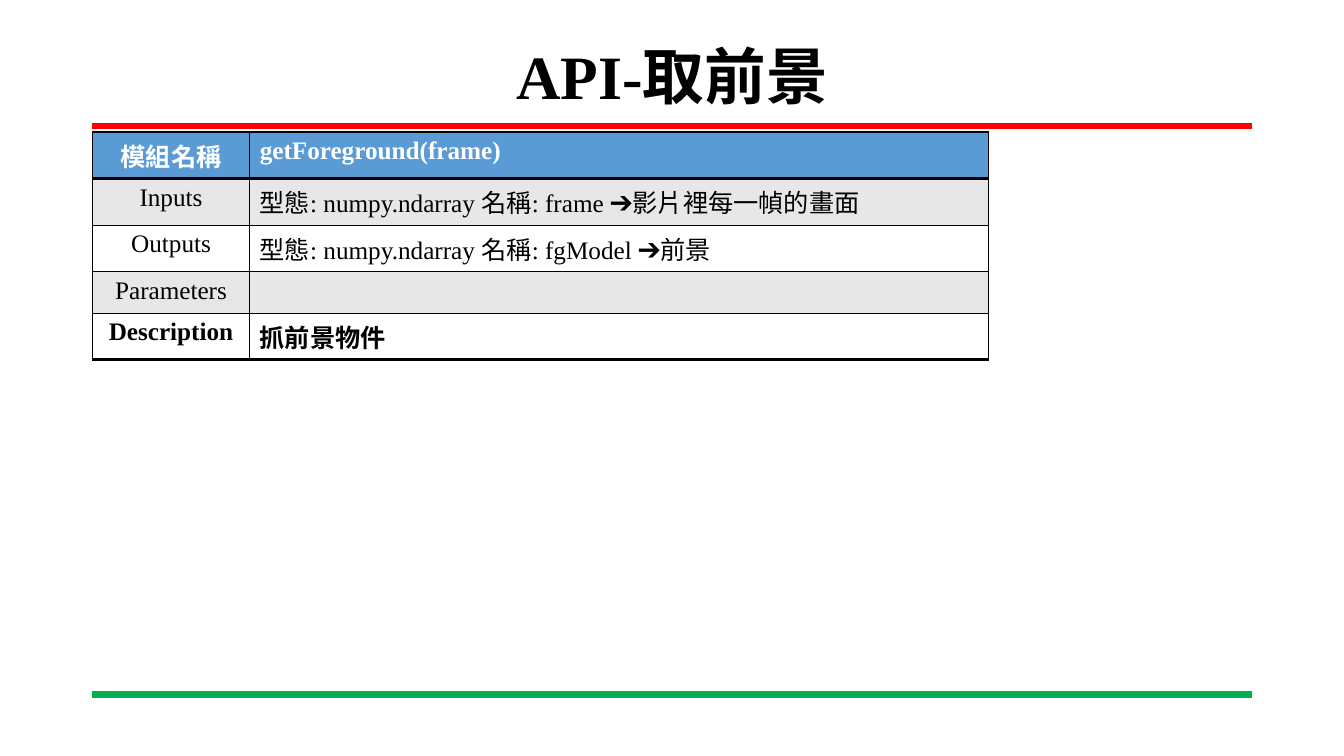
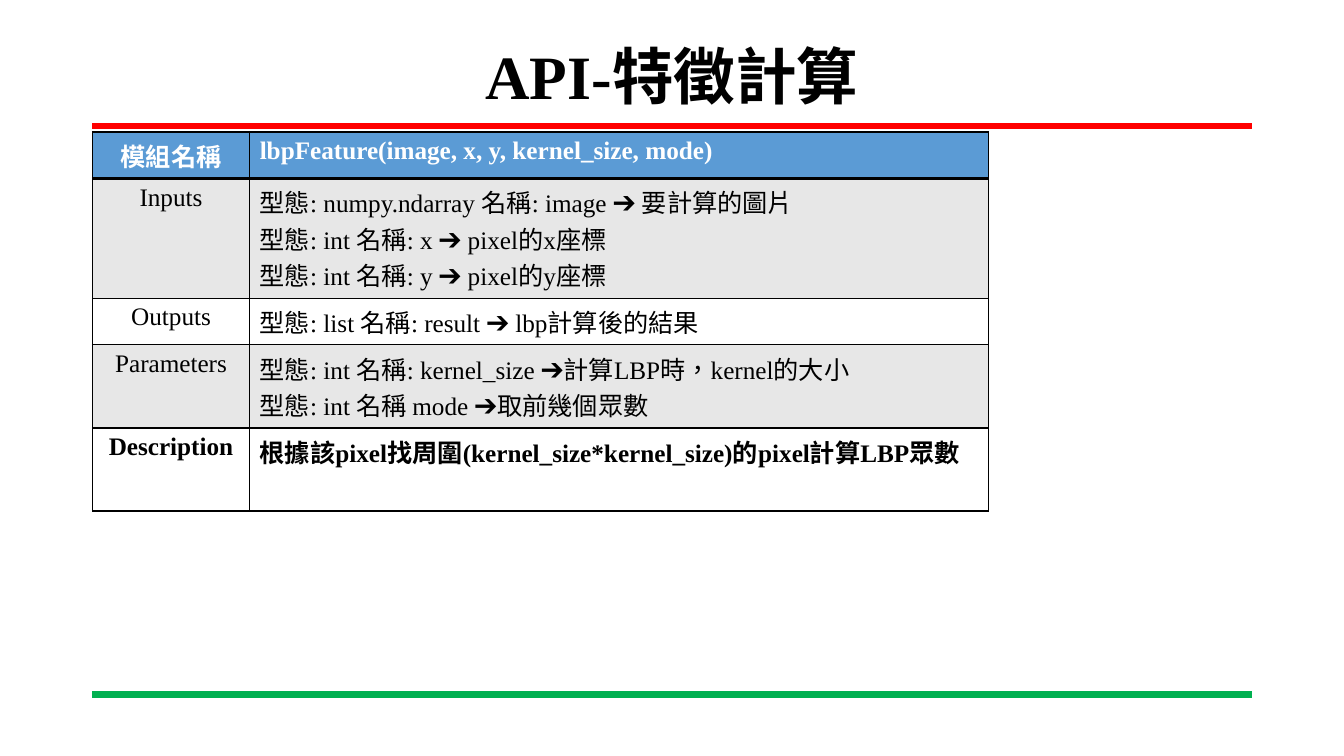
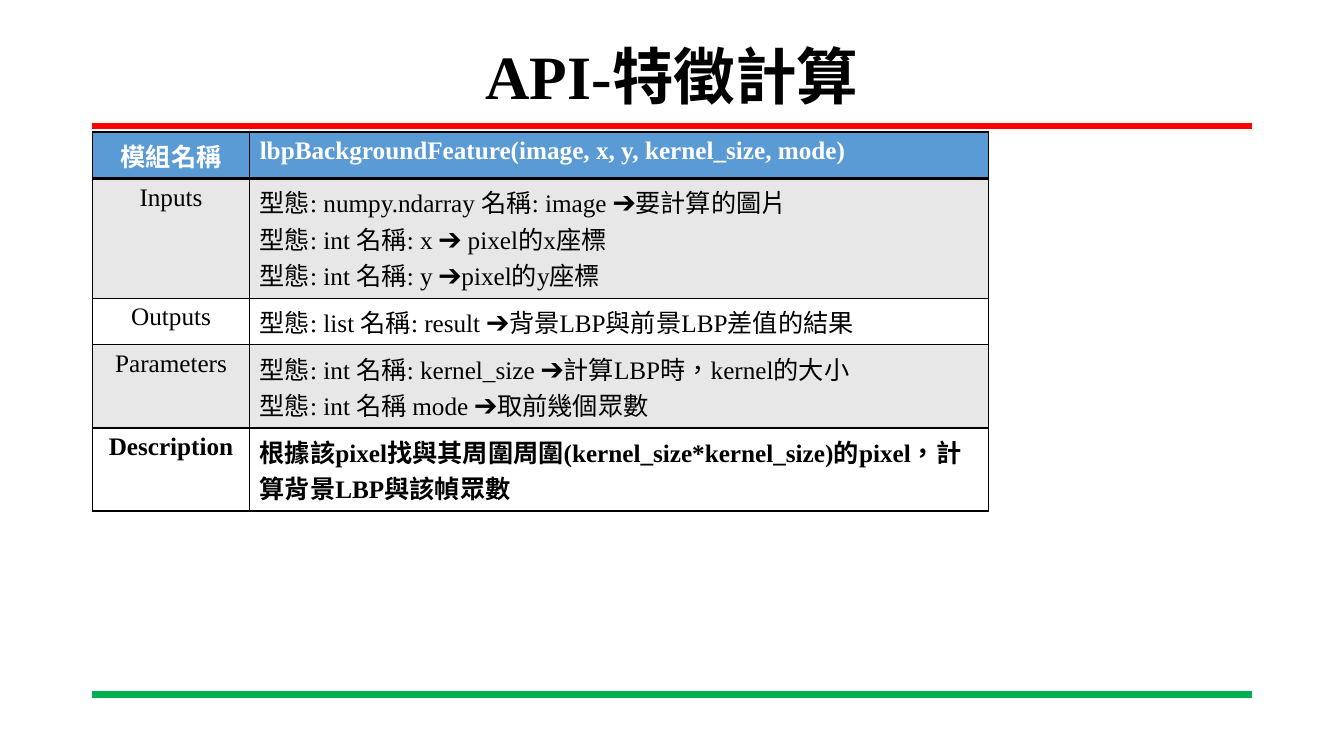
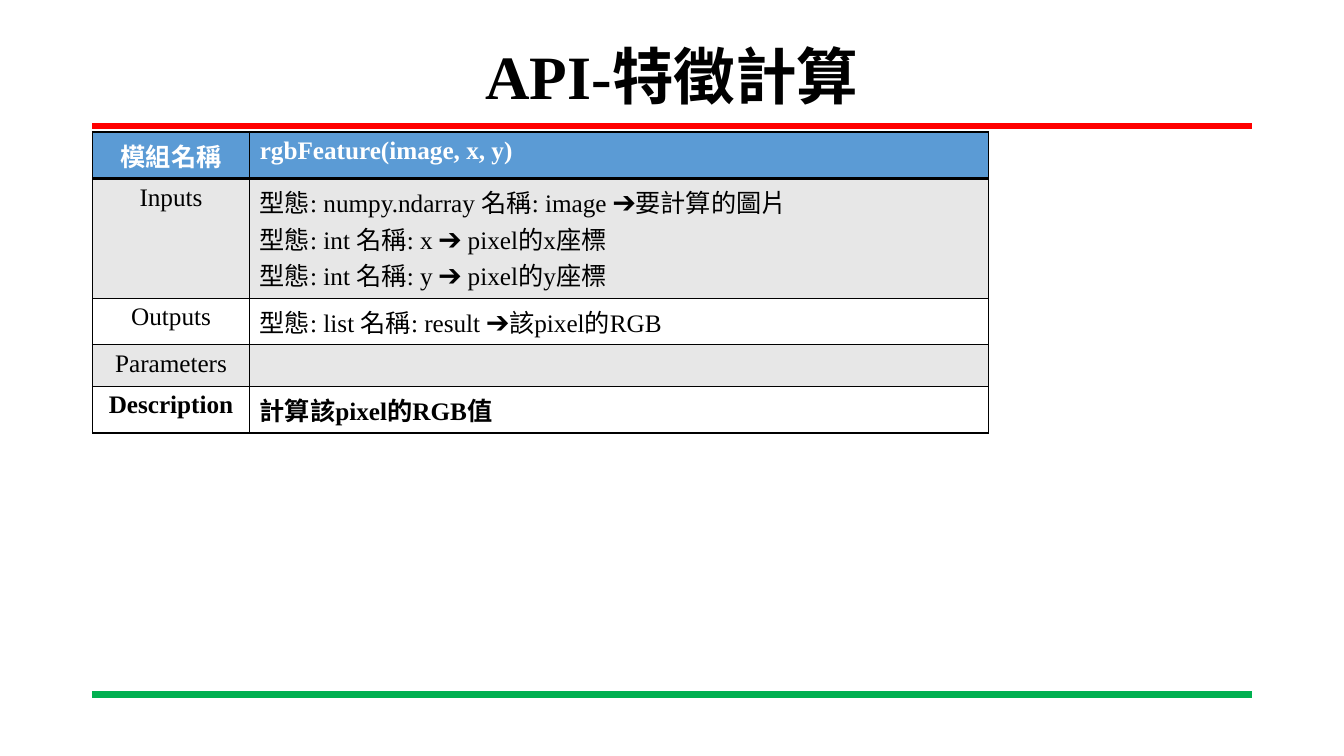
from dataclasses import dataclass

from lxml import etree
from pptx import Presentation
from pptx.dml.color import RGBColor
from pptx.enum.lang import MSO_LANGUAGE_ID
from pptx.enum.shapes import MSO_CONNECTOR
from pptx.enum.text import MSO_ANCHOR, PP_ALIGN
from pptx.oxml.ns import qn
from pptx.util import Inches, Pt

STRAIGHT = MSO_CONNECTOR.STRAIGHT
MIDDLE = MSO_ANCHOR.MIDDLE
LEFT, CENTER = PP_ALIGN.LEFT, PP_ALIGN.CENTER
CHINESE = MSO_LANGUAGE_ID.TRADITIONAL_CHINESE


@dataclass(frozen=True)
class Theme:
    font: str = "Times New Roman"
    title_size: float = 44
    table_size: float = 18
    rule_width: float = 4.5
    black: str = "000000"
    white: str = "FFFFFF"
    header: str = "5B9BD5"
    band: str = "E7E7E7"
    top_rule: str = "FF0000"
    bottom_rule: str = "00B050"


THEME = Theme()
MARGIN, CONTENT_WIDTH = 11 / 12, 11.5
RULES = [(1.25, THEME.top_rule), (6.89, THEME.bottom_rule)]
COLUMN_WIDTHS = [1.56, 7.33]
EMPTY_ROW = Inches(0.41)
CELL_PADDING = Inches(0.1)
LINE_HEIGHT = Pt(THEME.table_size * 1.45)
LABELS = ["模組名稱", "Inputs", "Outputs", "Parameters", "Description"]
LAST = len(LABELS) - 1

IMAGE_INPUT = "型態: numpy.ndarray 名稱: image ➔要計算的圖片"
X_INPUT = "型態: int 名稱: x ➔ pixel的x座標"
Y_INPUT = "型態: int 名稱: y ➔ pixel的y座標"
KERNEL_PARAMETERS = [
    "型態: int 名稱: kernel_size ➔計算LBP時，kernel的大小",
    "型態: int 名稱 mode ➔取前幾個眾數",
]

PAGES = [
    ("API-取前景", 1, [
        ["getForeground(frame)"],
        ["型態: numpy.ndarray 名稱: frame ➔影片裡每一幀的畫面"],
        ["型態: numpy.ndarray 名稱: fgModel ➔前景"],
        [],
        ["抓前景物件"],
    ]),
    ("API-特徵計算", 2, [
        ["lbpFeature(image, x, y, kernel_size, mode)"],
        ["型態: numpy.ndarray 名稱: image ➔ 要計算的圖片", X_INPUT, Y_INPUT],
        ["型態: list 名稱: result ➔ lbp計算後的結果"],
        KERNEL_PARAMETERS,
        ["根據該pixel找周圍(kernel_size*kernel_size)的pixel計算LBP眾數"],
    ]),
    ("API-特徵計算", 2, [
        ["lbpBackgroundFeature(image, x, y, kernel_size, mode)"],
        [IMAGE_INPUT, X_INPUT, "型態: int 名稱: y ➔pixel的y座標"],
        ["型態: list 名稱: result ➔背景LBP與前景LBP差值的結果"],
        KERNEL_PARAMETERS,
        ["根據該pixel找與其周圍周圍(kernel_size*kernel_size)的pixel，計算背景LBP與該幀眾數"],
    ]),
    ("API-特徵計算", 1, [
        ["rgbFeature(image, x, y)"],
        [IMAGE_INPUT, X_INPUT, Y_INPUT],
        ["型態: list 名稱: result ➔該pixel的RGB"],
        [],
        ["計算該pixel的RGB值"],
    ]),
]


def write_lines(frame, lines, size, color, bold, align):
    formats = {"name": THEME.font, "size": Pt(size), "bold": bold, "language_id": CHINESE}
    for index, line in enumerate(lines):
        para = frame.add_paragraph() if index else frame.paragraphs[0]
        para.alignment = align
        span = para.add_run()
        span.text = line
        for name, value in formats.items():
            setattr(span.font, name, value)
        span.font.color.rgb = RGBColor.from_string(color)


def style_cell(cell, fill, top, bottom):
    properties = cell._tc.get_or_add_tcPr()
    for side, width in {"L": 1, "R": 1, "T": top, "B": bottom}.items():
        border = etree.SubElement(properties, qn(f"a:ln{side}"), w=str(Pt(width)))
        solid = etree.SubElement(border, qn("a:solidFill"))
        etree.SubElement(solid, qn("a:srgbClr"), val=THEME.black)
    cell.fill.solid()
    cell.fill.fore_color.rgb = RGBColor.from_string(fill)


deck = Presentation()
deck.slide_width, deck.slide_height = Inches(13.33), Inches(7.5)
blank = deck.slide_layouts[6]

for title, description_lines, contents in PAGES:
    page = deck.slides.add_slide(blank)

    for height, color in RULES:
        rule = page.shapes.add_connector(
            STRAIGHT, Inches(MARGIN), Inches(height),
            Inches(MARGIN + CONTENT_WIDTH), Inches(height))
        rule.line.color.rgb = RGBColor.from_string(color)
        rule.line.width = Pt(THEME.rule_width)
        etree.SubElement(rule._element.spPr, qn("a:effectLst"))

    box = page.shapes.add_textbox(
        Inches(MARGIN), Inches(0.39), Inches(CONTENT_WIDTH), Inches(0.79))
    box.text_frame.word_wrap = True
    box.text_frame.vertical_anchor = MIDDLE
    write_lines(box.text_frame, [title], THEME.title_size, THEME.black, True, CENTER)
    box.text_frame.paragraphs[0].line_spacing = 0.9

    line_counts = [len(lines) for lines in contents[:LAST]] + [description_lines]
    row_heights = [CELL_PADDING + LINE_HEIGHT * count if count else EMPTY_ROW
                   for count in line_counts]
    table = page.shapes.add_table(
        len(LABELS), len(COLUMN_WIDTHS), Inches(MARGIN), Inches(1.31),
        Inches(sum(COLUMN_WIDTHS)), sum(row_heights)).table
    table.first_row = table.horz_banding = False
    for column, width in zip(table.columns, COLUMN_WIDTHS):
        column.width = Inches(width)

    for index, (label, lines) in enumerate(zip(LABELS, contents)):
        table.rows[index].height = row_heights[index]
        is_header = index == 0
        fill = THEME.header if is_header else THEME.band if index % 2 else THEME.white
        color = THEME.white if is_header else THEME.black
        top = 2 if index <= 1 else 1
        bottom = 2 if index in (0, LAST) else 1
        for column, (texts, align) in enumerate([([label], CENTER), (lines, LEFT)]):
            cell = table.cell(index, column)
            style_cell(cell, fill, top, bottom)
            write_lines(cell.text_frame, texts, THEME.table_size, color,
                        index in (0, LAST), align)

deck.save("out.pptx")
